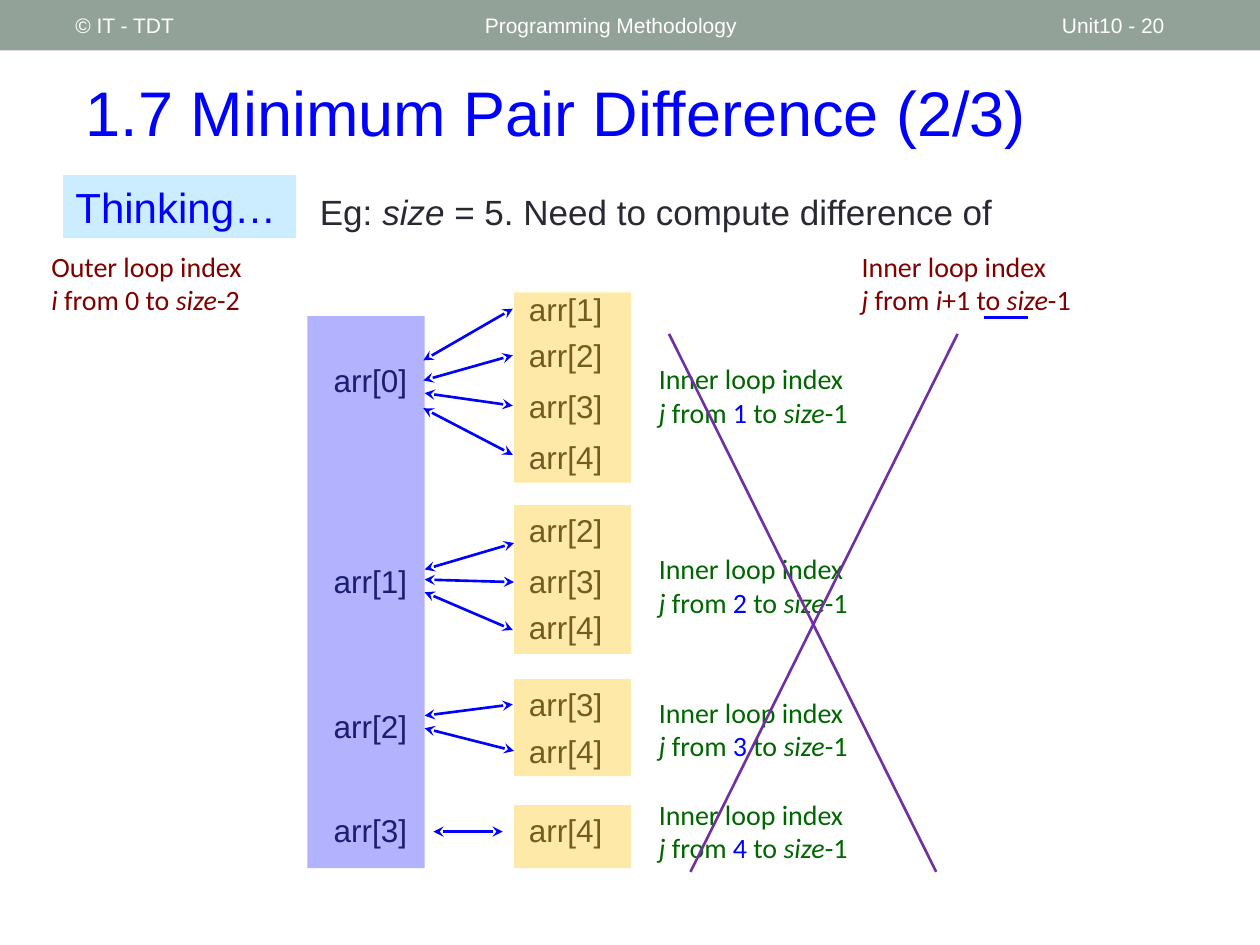
from dataclasses import dataclass

import pptx
import pptx.dml.color
import pptx.enum.shapes
import pptx.enum.text
import pptx.oxml
import pptx.oxml.ns
import pptx.util
from pptx.util import Inches


@dataclass(frozen=True)
class Theme:
    heading_font: str = "Arial"
    note_font: str = "Calibri"
    header: str = "93A299"
    white: str = "FFFFFF"
    blue: str = "0000FF"
    pale_blue: str = "CCECFF"
    text: str = "292934"
    amber: str = "FFC000"
    maroon: str = "800000"
    green: str = "006600"
    purple: str = "7030A0"
    title_size: int = 36
    thinking_size: int = 24
    example_size: int = 20
    array_size: int = 18
    note_size: int = 16
    header_size: int = 12
    line_width: float = 1.5


theme = Theme()
rgb = pptx.dml.color.RGBColor.from_string
LEFT = pptx.enum.text.PP_ALIGN.LEFT
CENTER = pptx.enum.text.PP_ALIGN.CENTER
TOP = pptx.enum.text.MSO_ANCHOR.TOP
MIDDLE = pptx.enum.text.MSO_ANCHOR.MIDDLE
RECTANGLE = pptx.enum.shapes.MSO_SHAPE.RECTANGLE
STRAIGHT = pptx.enum.shapes.MSO_CONNECTOR.STRAIGHT


def add_text(shapes, box, lines, size, color, font=theme.heading_font,
             align=LEFT, anchor=TOP):
    """Each line is a list of runs: text, or (text, color); *text* is italic."""
    shape = shapes.add_textbox(*map(Inches, box))
    frame = shape.text_frame
    frame.word_wrap = True
    frame.vertical_anchor = anchor
    for index, runs in enumerate(lines):
        paragraph = frame.add_paragraph() if index else frame.paragraphs[0]
        paragraph.alignment = align
        paragraph.font.name = font
        paragraph.font.size = pptx.util.Pt(size)
        paragraph.font.color.rgb = rgb(color)
        for item in runs:
            text, run_color = item if isinstance(item, tuple) else (item, None)
            run = paragraph.add_run()
            run.text = text.strip("*")
            if text.startswith("*"):
                run.font.italic = True
            if run_color:
                run.font.color.rgb = rgb(run_color)
    return shape


def add_line(shapes, start, end, color, arrows=False):
    connector = shapes.add_connector(STRAIGHT, *map(Inches, (*start, *end)))
    connector.line.color.rgb = rgb(color)
    connector.line.width = pptx.util.Pt(theme.line_width)
    if arrows:
        line = connector.line._get_or_add_ln()
        for tag in ("a:headEnd", "a:tailEnd"):
            pptx.oxml.ns.qn(tag)
            line.append(pptx.oxml.parse_xml(
                f'<{tag} {pptx.oxml.ns.nsdecls("a")} type="stealth"/>'))
    connector._element.spPr.append(pptx.oxml.parse_xml(
        f'<a:effectLst {pptx.oxml.ns.nsdecls("a")}/>'))


presentation = pptx.Presentation()
presentation.slide_width = Inches(10)
presentation.slide_height = Inches(7.5)
slide = presentation.slides.add_slide(presentation.slide_layouts[5])
shapes = slide.shapes

# Title
title = shapes.title
title.left, title.top = Inches(0.58), Inches(0.42)
title.width, title.height = Inches(9.17), Inches(0.92)
title.text_frame.text = "1.7 Minimum Pair Difference (2/3)"
title.text_frame.vertical_anchor = MIDDLE
paragraph = title.text_frame.paragraphs[0]
paragraph.alignment = LEFT
paragraph.font.name = theme.heading_font
paragraph.font.size = pptx.util.Pt(theme.title_size)
paragraph.font.color.rgb = rgb(theme.blue)

# Header band
band = shapes.add_shape(RECTANGLE, 0, 0, Inches(10), Inches(0.4))
band.shadow.inherit = False
band.fill.solid()
band.fill.fore_color.rgb = rgb(theme.header)
band.line.fill.background()
for left, width, text in (
    (0.5, 3.17, "© IT - TDT"),
    (3.75, 4.5, "Programming Methodology"),
    (8.33, 1.17, "Unit10 - 20"),
):
    add_text(shapes, (left, 0.02, width, 0.36), [[text]],
             theme.header_size, theme.white, anchor=MIDDLE)

# Example
thinking = add_text(shapes, (0.5, 1.39, 1.85, 0.5), [["Thinking…"]],
                    theme.thinking_size, theme.blue)
thinking.fill.solid()
thinking.fill.fore_color.rgb = rgb(theme.pale_blue)
add_text(shapes, (2.44, 1.46, 5.89, 0.44),
         [["Eg: ", "*size*", " = 5. Need to compute difference of"]],
         theme.example_size, theme.text)

# Per outer index: label top, inner label tops, arrow ends (x, y, x, y),
# inner block top and height, note top
groups = [
    (2.82, (2.25, 2.62, 3.02, 3.43),
     ((3.36, 2.86, 4.07, 2.45), (3.36, 3.02, 4.07, 2.82),
      (3.37, 3.12, 4.07, 3.22), (3.36, 3.24, 4.07, 3.61)), 2.32, 1.51, 2.82),
    (4.41, (4.01, 4.41, 4.78),
     ((3.37, 4.52, 4.08, 4.31), (3.37, 4.6, 4.08, 4.62),
      (3.37, 4.7, 4.07, 5)), 4.01, 1.18, 4.33),
    (5.56, (5.39, 5.76),
     ((3.37, 5.68, 4.07, 5.59), (3.37, 5.78, 4.08, 5.96)), 5.39, 0.77, 5.47),
    (6.39, (6.39,), ((3.44, 6.6, 3.99, 6.6),), 6.39, 0.5, 6.28),
]

# Array elements and the pairs they form
diagram = shapes.add_group_shape().shapes
for outer, (outer_top, inner_tops, arrows, *_) in enumerate(groups):
    labels = [(2.44, outer_top, outer)]
    labels += [(3.99, top, inner) for inner, top in enumerate(inner_tops, outer + 1)]
    for left, top, index in labels:
        add_text(diagram, (left, top, 1, 0.4), [[f"arr[{index}]"]],
                 theme.array_size, theme.text, align=CENTER)
    for x1, y1, x2, y2 in arrows:
        add_line(diagram, (x1, y1), (x2, y2), theme.blue, arrows=True)

# Translucent blocks over the array elements
blocks = [(2.44, 2.51, 4.38, theme.blue, 30)]
blocks += [(4.08, top, height, theme.amber, 34) for *_, top, height, _ in groups]
for left, top, height, color, opacity in blocks:
    block = shapes.add_shape(RECTANGLE, *map(Inches, (left, top, 0.93, height)))
    block.shadow.inherit = False
    block.fill.solid()
    block.fill.fore_color.rgb = rgb(color)
    block.line.fill.background()
    color_element = block._element.spPr.find(".//" + pptx.oxml.ns.qn("a:srgbClr"))
    color_element.append(pptx.oxml.parse_xml(
        f'<a:alpha {pptx.oxml.ns.nsdecls("a")} val="{opacity * 1000}"/>'))

# Loop notes
add_text(shapes, (0.31, 1.93, 2.77, 0.64),
         [["Outer loop index"], ["*i*", " from 0 to ", "*size*", "-2"]],
         theme.note_size, theme.maroon, theme.note_font)
for first, (*_, note_top) in enumerate(groups, 1):
    add_text(shapes, (5.13, note_top, 2.82, 0.64),
             [["Inner loop index"],
              ["*j*", " from ", (str(first), theme.blue), " to ", "*size*", "-1"]],
             theme.note_size, theme.green, theme.note_font)

# Cross over the separate notes, and the general rule that replaces them
cross = shapes.add_group_shape().shapes
add_line(cross, (5.31, 2.65), (7.43, 6.92), theme.purple)
add_line(cross, (5.48, 6.92), (7.6, 2.65), theme.purple)
add_text(shapes, (6.74, 1.93, 2.99, 0.64),
         [["Inner loop index"],
          ["*j*", " from ", "*i*", "+1 to ", "*size*", "-1"]],
         theme.note_size, theme.maroon, theme.note_font)
add_line(shapes, (7.81, 2.52), (8.16, 2.52), theme.blue)

presentation.save("out.pptx")
